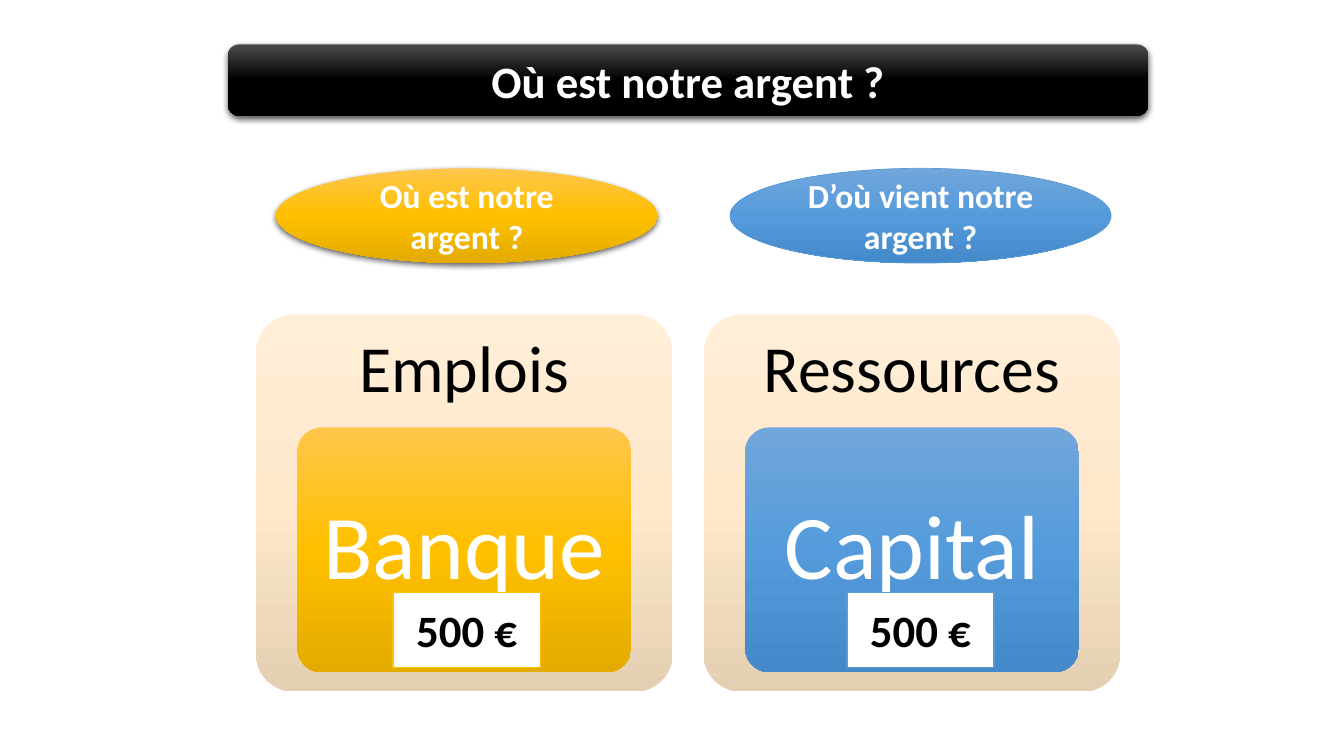
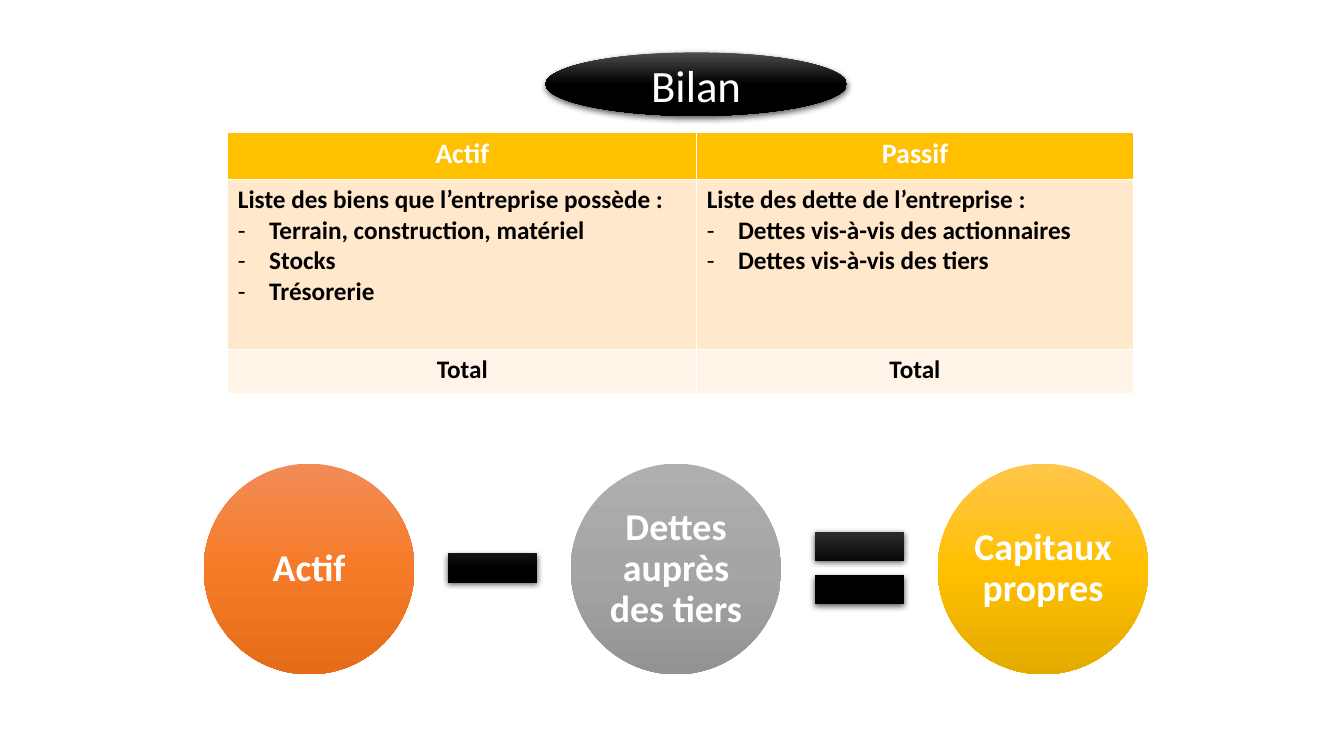
"""Build two accounting slides: where the money is, and the balance sheet."""
from dataclasses import dataclass
from typing import Any

from lxml import etree
from pptx import Presentation
from pptx.dml.color import RGBColor
from pptx.enum import shapes, text
from pptx.oxml.ns import qn
from pptx.util import Inches, Pt

FONT = "Calibri"
WHITE = "FFFFFF"
BLACK = "000000"
GOLD = "FFC000"
SHAPE = shapes.MSO_SHAPE

BLACK_FADE = ("4B4B4B", BLACK, BLACK)
GOLD_FADE = ("FFC64B", GOLD, "E3AB00")
BLUE_FADE = ("71A6DB", "559BDB", "448ACA")
CREAM_FADE = ("FFEED8", "FFE8CC", "E5CFB3")
ORANGE_FADE = ("F18C57", "F67B28", "E56C19")
GREY_FADE = ("AFAFAF", "A5A5A5", "939393")


@dataclass(frozen=True)
class Side:
    """One side of the money comparison."""
    question: str
    heading: str
    account: str
    fade: tuple[str, str, str]
    accent: str
    shadow: bool
    outline: str | None


@dataclass(frozen=True)
class Term:
    """One circle of the equation and the operator after it."""
    label: str
    fade: tuple[str, str, str]
    operator: Any = None


@dataclass(frozen=True)
class Row:
    """One table row, with a list of lines for each cell."""
    height: float
    fill: str
    cells: tuple[list[str], list[str]]
    size: int = 18
    color: str = BLACK
    centered: bool = True


SIDES = [
    Side("Où est notre argent ?", "Emplois", "Banque", GOLD_FADE, GOLD, True, None),
    Side("D’où vient notre argent ?", "Ressources", "Capital", BLUE_FADE, "5B9BD5", False, "5B9BD5"),
]
TERMS = [
    Term("Actif", ORANGE_FADE, SHAPE.MATH_MINUS),
    Term("Dettes auprès des tiers", GREY_FADE, SHAPE.MATH_EQUAL),
    Term("Capitaux propres", GOLD_FADE),
]
ROWS = [
    Row(0.47, GOLD, (["Actif"], ["Passif"]), size=20, color=WHITE),
    Row(1.69, "FFE8CC", (
        ["Liste des biens que l’entreprise possède :", "Terrain, construction, matériel",
         "Stocks", "Trésorerie"],
        ["Liste des dette de l’entreprise :", "Dettes vis-à-vis des actionnaires",
         "Dettes vis-à-vis des tiers"],
    ), centered=False),
    Row(0.44, "FFF4E7", (["Total"], ["Total"])),
]


def rgb(color: str) -> RGBColor:
    """Turn a hex string into a colour."""
    return RGBColor.from_string(color)


def add_color(parent: Any, color: str) -> Any:
    """Append a colour element to an XML parent."""
    return etree.SubElement(parent, qn("a:srgbClr"), val=color)


def write(paragraph: Any, words: str, *, size: float, color: str = WHITE, bold: bool = False,
          centered: bool = True, spacing: float | None = None) -> None:
    """Write formatted text into a paragraph."""
    paragraph.alignment = text.PP_ALIGN.CENTER if centered else text.PP_ALIGN.LEFT
    paragraph.line_spacing = spacing
    run = paragraph.add_run()
    run.text = words
    run.font.name = FONT
    run.font.size = Pt(size)
    run.font.bold = bold
    run.font.color.rgb = rgb(color)


def fill_frame(shape: Any, words: str, inset: tuple[float, float] = (0.1, 0.05), **style: Any) -> None:
    """Put centred text into a shape, with horizontal and vertical insets."""
    frame = shape.text_frame
    frame.word_wrap = True
    frame.vertical_anchor = text.MSO_ANCHOR.MIDDLE
    frame.margin_left = frame.margin_right = Inches(inset[0])
    frame.margin_top = frame.margin_bottom = Inches(inset[1])
    write(frame.paragraphs[0], words, **style)


def set_fade(shape: Any, colors: tuple[str, str, str]) -> None:
    """Fill a shape with a three-stop gradient running downwards."""
    shape.fill.gradient()
    shape.fill.gradient_angle = 270
    stops = shape.element.spPr.find(qn("a:gradFill")).find(qn("a:gsLst"))
    for stop in list(stops):
        stops.remove(stop)
    for position, color in zip((0, 50000, 100000), colors):
        add_color(etree.SubElement(stops, qn("a:gs"), pos=str(position)), color)


def set_shadow(shape: Any) -> None:
    """Add a soft shadow below a shape."""
    effects = shape.element.spPr.find(qn("a:effectLst"))
    outer = etree.SubElement(effects, qn("a:outerShdw"), blurRad=str(Pt(4.5)), dist=str(Pt(1.5)),
                             dir="5400000", algn="ctr", rotWithShape="0")
    etree.SubElement(add_color(outer, BLACK), qn("a:alpha"), val="63000")


def add_figure(slide: Any, kind: Any, left: float, top: float, width: float, height: float,
               fill: str | tuple[str, str, str], *, outline: str | None = None,
               line_width: float = 1, shadow: bool = False, corner: float | None = None) -> Any:
    """Add a preset shape with a plain or faded fill."""
    shape = slide.shapes.add_shape(kind, Inches(left), Inches(top), Inches(width), Inches(height))
    shape.shadow.inherit = False
    if isinstance(fill, str):
        shape.fill.solid()
        shape.fill.fore_color.rgb = rgb(fill)
    else:
        set_fade(shape, fill)
    if outline:
        shape.line.color.rgb = rgb(outline)
        shape.line.width = Pt(line_width)
    else:
        shape.line.fill.background()
    if shadow:
        set_shadow(shape)
    if corner is not None:
        shape.adjustments[0] = corner
    return shape


def add_title(slide: Any, kind: Any, words: str, left: float, top: float, width: float,
              height: float, bold: bool) -> None:
    """Add the black title shape."""
    title = add_figure(slide, kind, left, top, width, height, BLACK_FADE, shadow=True)
    fill_frame(title, words, size=32, bold=bold)


def add_side(slide: Any, index: int, side: Side) -> None:
    """Draw the card, question and amount of one side."""
    left = 2.54 + index * 4.44
    add_figure(slide, SHAPE.ROUNDED_RECTANGLE, left, 3.12, 4.13, 3.74, CREAM_FADE, corner=0.1)
    heading = slide.shapes.add_textbox(Inches(left), Inches(3.12), Inches(4.13), Inches(1.12))
    fill_frame(heading, side.heading, (0.2, 0.2), size=47, color=BLACK, spacing=0.9)
    account = add_figure(slide, SHAPE.ROUNDED_RECTANGLE, left + 0.41, 4.24, 3.31, 2.43,
                         side.fade, corner=0.1)
    fill_frame(account, side.account, (0.18, 0.14), size=65, spacing=0.9)
    shift = index * 4.5
    amount = add_figure(slide, SHAPE.RECTANGLE, 3.9 + shift, 5.88, 1.46, 0.74, WHITE,
                        outline=side.accent)
    fill_frame(amount, "500 €", size=32, color=BLACK, bold=True)
    question = add_figure(slide, SHAPE.OVAL, 2.74 + shift, 1.67, 3.78, 0.94, side.fade,
                          outline=side.outline, line_width=0.5, shadow=side.shadow)
    fill_frame(question, side.question, size=24, bold=True)


def set_dash(paragraph: Any) -> None:
    """Give a paragraph a dash bullet and a hanging indent."""
    properties = paragraph._p.get_or_add_pPr()
    properties.set("marL", str(Inches(0.31)))
    properties.set("indent", str(Inches(-0.31)))
    etree.SubElement(properties, qn("a:buFont"), typeface=FONT)
    etree.SubElement(properties, qn("a:buChar"), char="-")


def set_borders(cell: Any) -> None:
    """Draw thin white borders around a cell."""
    properties = cell._tc.get_or_add_tcPr()
    for position, edge in enumerate(("a:lnL", "a:lnR", "a:lnT", "a:lnB")):
        line = etree.Element(qn(edge), w=str(Pt(1)))
        add_color(etree.SubElement(line, qn("a:solidFill")), WHITE)
        properties.insert(position, line)


def fill_cell(cell: Any, lines: list[str], row: Row) -> None:
    """Fill a cell; lines after the first are dashed."""
    cell.fill.solid()
    cell.fill.fore_color.rgb = rgb(row.fill)
    set_borders(cell)
    for number, line in enumerate(lines):
        frame = cell.text_frame
        paragraph = frame.add_paragraph() if number else frame.paragraphs[0]
        write(paragraph, line, size=row.size, color=row.color, bold=True, centered=row.centered)
        if number:
            set_dash(paragraph)


def add_balance_table(slide: Any) -> None:
    """Add the balance sheet table."""
    table = slide.shapes.add_table(len(ROWS), 2, Inches(2.26), Inches(1.31),
                                   Inches(8.98), Inches(2.6)).table
    table.horz_banding = False
    for column, width in zip(table.columns, (4.65, 4.33)):
        column.width = Inches(width)
    for number, row in enumerate(ROWS):
        table.rows[number].height = Inches(row.height)
        for column, lines in enumerate(row.cells):
            fill_cell(table.cell(number, column), lines, row)


def add_term(slide: Any, index: int, term: Term) -> None:
    """Draw one circle of the equation and its operator."""
    left = 2.02 + index * 3.64
    circle = add_figure(slide, SHAPE.OVAL, left, 4.6, 2.09, 2.09, term.fade)
    fill_frame(circle, term.label, (0.04, 0.04), size=27, bold=True, spacing=0.9)
    if term.operator is not None:
        add_figure(slide, term.operator, left + 2.26, 5.03, 1.21, 1.21, BLACK_FADE, shadow=True)


def main() -> None:
    """Build and save the presentation."""
    presentation = Presentation()
    presentation.slide_width = Inches(13.33)
    presentation.slide_height = Inches(7.5)
    blank = presentation.slide_layouts[6]

    money = presentation.slides.add_slide(blank)
    add_title(money, SHAPE.ROUNDED_RECTANGLE, "Où est notre argent ?", 2.26, 0.44, 9.13, 0.71, True)
    for index, side in enumerate(SIDES):
        add_side(money, index, side)

    balance = presentation.slides.add_slide(blank)
    add_balance_table(balance)
    add_title(balance, SHAPE.OVAL, "Bilan", 5.41, 0.52, 2.99, 0.63, False)
    for index, term in enumerate(TERMS):
        add_term(balance, index, term)

    presentation.save("out.pptx")


if __name__ == "__main__":
    main()
